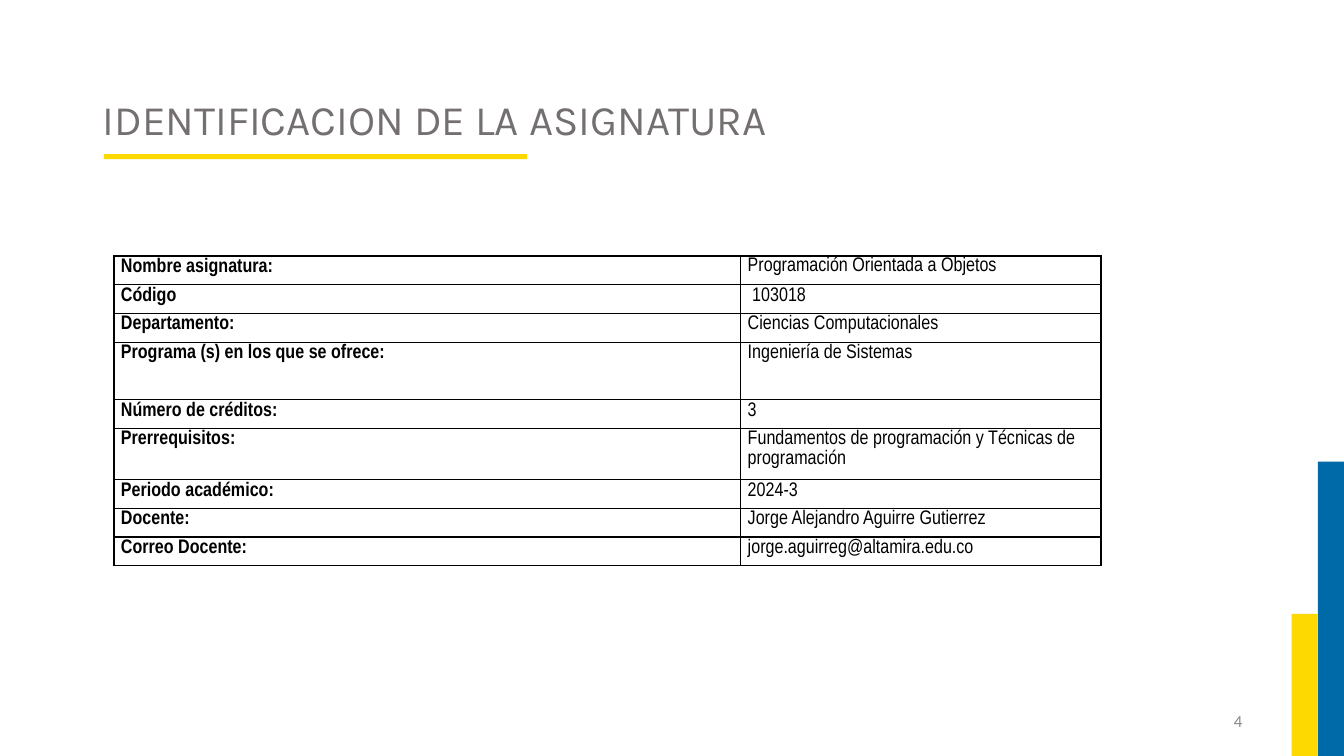
from lxml import etree
from pptx import Presentation, util as u
from pptx.dml.color import RGBColor
from pptx.enum import shapes, text
from pptx.oxml import ns

YELLOW = RGBColor(0xFD, 0xD9, 0x01)
BLUE = RGBColor(0x00, 0x6A, 0xA8)
TITLE_GRAY = RGBColor(0x75, 0x70, 0x70)
NUMBER_GRAY = RGBColor(0x88, 0x88, 0x88)
BLACK = RGBColor(0, 0, 0)

SLIDE_W, SLIDE_H = 13.33, 7.5
ROW_H = 0.285
COURSE = [  # label, value, height in grid rows
    ("Nombre asignatura:", "Programación Orientada a Objetos", 1),
    ("Código", "\N{NO-BREAK SPACE}103018", 1),
    ("Departamento:", "Ciencias Computacionales", 1),
    ("Programa (s) en los que se ofrece:", "Ingeniería de Sistemas", 2),
    ("Número de créditos:", "3", 1),
    ("Prerrequisitos:", "Fundamentos de programación y Técnicas de programación", 1),
    ("Periodo académico:", "2024-3", 1),
    ("Docente:", "Jorge Alejandro Aguirre Gutierrez", 1),
    ("Correo Docente:", "jorge.aguirreg@altamira.edu.co", 1),
]


def inches(*lengths):
    return [u.Inches(length) for length in lengths]


def style(paragraph, font_name, size, color, bold=False):
    for run in paragraph.runs:
        run.font.name = font_name
        run.font.size = u.Pt(size)
        run.font.color.rgb = color
        run.font.bold = bold


def add_bar(slide, box, color):
    bar = slide.shapes.add_shape(shapes.MSO_SHAPE.RECTANGLE, *inches(*box))
    bar.shadow.inherit = False
    bar.fill.solid()
    bar.fill.fore_color.rgb = color
    bar.line.fill.background()


def add_line_of_text(slide, box, words):
    """Add a vertically centred text box and return its paragraph."""
    frame = slide.shapes.add_textbox(*inches(*box)).text_frame
    frame.word_wrap = True
    frame.vertical_anchor = text.MSO_ANCHOR.MIDDLE
    frame.text = words
    return frame.paragraphs[0]


def add_corner_bars(slide, right, bottom, width):
    for step, (height, color) in enumerate([(2.92, BLUE), (1.41, YELLOW)], 1):
        add_bar(slide, (right - step * width, bottom - height, width, height), color)


def add_heading(slide, left, top, width, height):
    heading = add_line_of_text(slide, (left, top, width, height),
                               "IDENTIFICACION DE LA ASIGNATURA")
    heading.line_spacing = 0.9
    style(heading, "Karla", 30, TITLE_GRAY)
    add_bar(slide, (left + 0.11, top + 1.05, 4.2, 0.05), YELLOW)


def add_page_number(slide, box):
    number = add_line_of_text(slide, box, "4")
    number.alignment = text.PP_ALIGN.RIGHT
    style(number, "Calibri", 12, NUMBER_GRAY)


def add_borders(cell):
    """Draw a thin black line on each side of the cell."""
    properties = cell._tc.get_or_add_tcPr()
    for place, side in enumerate(("lnL", "lnR", "lnT", "lnB")):
        line = etree.Element(ns.qn("a:" + side), w=str(u.Pt(1)))
        fill = etree.SubElement(line, ns.qn("a:solidFill"))
        etree.SubElement(fill, ns.qn("a:srgbClr"), val=str(BLACK))
        properties.insert(place, line)


def fill_cell(cell, words, bold, spacing):
    cell.fill.background()
    cell.margin_left = cell.margin_right = u.Inches(0.07)
    cell.margin_top, cell.margin_bottom = inches(0.01, 0)
    cell.text = words
    paragraph = cell.text_frame.paragraphs[0]
    paragraph.line_spacing = spacing
    style(paragraph, "Arial Narrow", 14, BLACK, bold)
    add_borders(cell)


def add_course_table(slide, left, top, width):
    height = ROW_H * sum(span for _, _, span in COURSE)
    table = slide.shapes.add_table(len(COURSE), 2,
                                   *inches(left, top, width, height)).table
    table.first_row = table.horz_banding = False
    for column, share in zip(table.columns, (0.635, 0.365)):
        column.width = u.Inches(width * share)
    for index, (label, value, span) in enumerate(COURSE):
        table.rows[index].height = u.Inches(ROW_H * span)
        fill_cell(table.cell(index, 0), label, True, 1.07)
        fill_cell(table.cell(index, 1), value, False, 1.07 if index else 1.0)


def main():
    deck = Presentation()
    deck.slide_width, deck.slide_height = inches(SLIDE_W, SLIDE_H)
    slide = deck.slides.add_slide(deck.slide_layouts[6])
    add_corner_bars(slide, SLIDE_W, SLIDE_H, 0.26)
    add_heading(slide, 0.92, 0.48, 11.5, 1.45)
    add_page_number(slide, (9.42, 6.95, 3, 0.4))
    add_course_table(slide, 1.13, 2.54, 9.79)
    deck.save("out.pptx")


if __name__ == "__main__":
    main()
